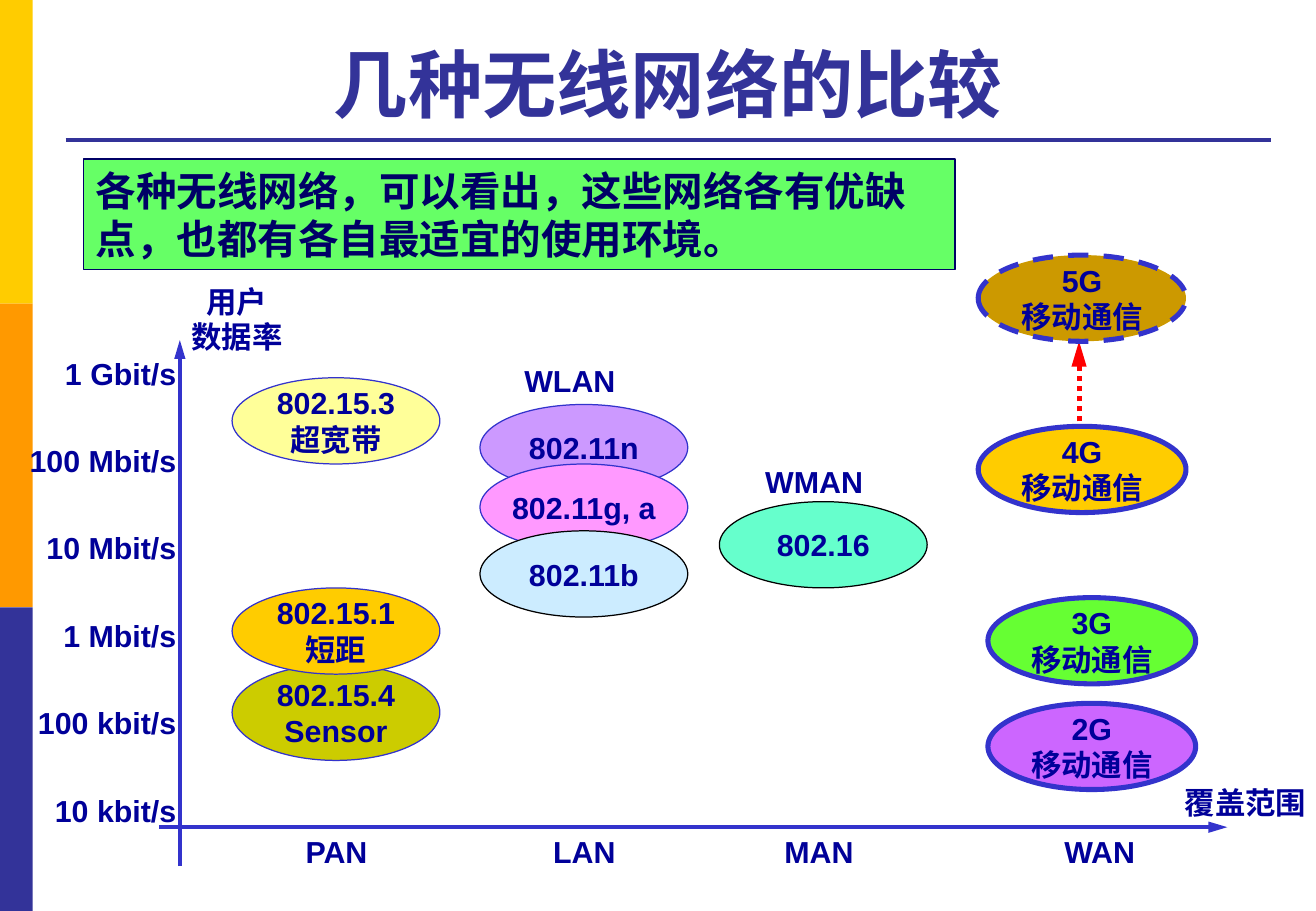
from dataclasses import dataclass
from typing import Optional

from lxml import etree
from pptx import Presentation
from pptx import util as u
from pptx.dml.color import RGBColor
from pptx.enum import dml, shapes, text
from pptx.oxml.ns import qn

COLORS = {
    "navy": "000099", "deep": "000066", "title": "333399", "line": "3333CC",
    "black": "000000", "red": "FF0000", "gold": "FFCC00", "orange": "FF9900",
    "violet": "CC99FF", "olive": "CCCC00", "cream": "FFFF99", "pink": "FF99FF",
    "sky": "CCECFF", "mint": "66FFCC", "purple": "CC66FF", "lime": "66FF33",
    "ochre": "CC9900", "green": "66FF66",
}
FONT = {"name": "Arial", "bold": True}
ALIGN = text.PP_ALIGN
MIDDLE = text.MSO_ANCHOR.MIDDLE
DASH = dml.MSO_LINE
MOBILE = "移动通信"


@dataclass
class Network:
    name: str
    left: float
    top: float
    fill: str
    line: str = "line"
    width: float = 0.75
    height: float = 0.71
    dash: Optional[DASH] = None


@dataclass
class Label:
    """A text box centred on (x, y)."""
    words: str
    x: float
    y: float
    width: float = 1.2
    align: ALIGN = ALIGN.CENTER
    spacing: float = 1.0


@dataclass
class Line:
    x1: float
    y1: float
    x2: float
    y2: float
    color: str = "line"
    width: float = 2.25
    dash: Optional[DASH] = None
    arrow: bool = True


NETWORKS = [
    Network("802.11n", 3.95, 3.33, "violet"),
    Network("802.15.4\nSensor", 1.91, 5.47, "olive", height=0.79),
    Network("802.15.1\n短距", 1.91, 4.84, "gold"),
    Network("802.15.3\n超宽带", 1.91, 3.11, "cream"),
    Network("802.11g, a", 3.95, 3.82, "pink"),
    Network("802.11b", 3.95, 4.37, "sky", "black"),
    Network("802.16", 5.92, 4.13, "mint", "black"),
    Network(f"2G\n{MOBILE}", 8.13, 5.79, "purple", width=3),
    Network(f"3G\n{MOBILE}", 8.13, 4.92, "lime", width=3),
    Network(f"4G\n{MOBILE}", 8.05, 3.51, "gold", width=3),
    Network(f"5G\n{MOBILE}", 8.05, 2.1, "ochre", width=3, dash=DASH.DASH),
]
RATES = ["1 Gbit/s", "100 Mbit/s", "10 Mbit/s", "1 Mbit/s", "100 kbit/s", "10 kbit/s"]
RANGES = {"PAN": 2.77, "LAN": 4.81, "MAN": 6.74, "WAN": 9.05}
LABELS = [
    Label("用户\n数据率", 1.95, 2.64, spacing=0.95),
    Label("覆盖范围", 10.25, 6.61),
    Label("WLAN", 4.69, 3.13),
    Label("WMAN", 6.7, 3.96),
    *(Label(rate, 0.8, 3.07 + 0.72 * i, 1.5, ALIGN.RIGHT) for i, rate in enumerate(RATES)),
    *(Label(name, x, 7.01) for name, x in RANGES.items()),
]
LINES = [
    Line(0.54, 1.15, 10.46, 1.15, "title", arrow=False),
    Line(1.31, 6.81, 10.1, 6.81),
    Line(1.48, 7.13, 1.48, 2.8),
    Line(8.88, 3.47, 8.88, 2.81, "red", 3, DASH.ROUND_DOT),
]


def rgb(name: str) -> RGBColor:
    return RGBColor.from_string(COLORS[name])


def write(tf, words: str, size: float = 18, color: str = "navy",
          align: ALIGN = ALIGN.CENTER, spacing: float = 1.0) -> None:
    """Put each line of words in its own paragraph."""
    for i, part in enumerate(words.split("\n")):
        p = tf.add_paragraph() if i else tf.paragraphs[0]
        p.alignment, p.line_spacing = align, spacing
        r = p.add_run()
        r.text = part
        r.font.size = u.Pt(size)
        r.font.color.rgb = rgb(color)
        for key, value in FONT.items():
            setattr(r.font, key, value)


def add_filled(s, kind, left: float, top: float, width: float, height: float,
               fill: str, line: Optional[str] = None, weight: float = 0.75):
    sp = s.shapes.add_shape(kind, *map(u.Inches, (left, top, width, height)))
    sp.shadow.inherit = False
    sp.fill.solid()
    sp.fill.fore_color.rgb = rgb(fill)
    if line:
        sp.line.color.rgb = rgb(line)
        sp.line.width = u.Pt(weight)
    else:
        sp.line.fill.background()
    return sp


def add_network(s, n: Network) -> None:
    sp = add_filled(s, shapes.MSO_SHAPE.OVAL, n.left, n.top, 1.71, n.height,
                    n.fill, n.line, n.width)
    if n.dash:
        sp.line.dash_style = n.dash
    sp.text_frame.word_wrap = False
    sp.text_frame.vertical_anchor = MIDDLE
    write(sp.text_frame, n.name)


def add_label(s, label: Label) -> None:
    height = 0.4 * len(label.words.split("\n"))
    box = (label.x - label.width / 2, label.y - height / 2, label.width, height)
    tf = s.shapes.add_textbox(*map(u.Inches, box)).text_frame
    tf.word_wrap = True
    tf.vertical_anchor = MIDDLE
    write(tf, label.words, align=label.align, spacing=label.spacing)


def add_line(s, line: Line) -> None:
    ends = map(u.Inches, (line.x1, line.y1, line.x2, line.y2))
    cn = s.shapes.add_connector(shapes.MSO_CONNECTOR.STRAIGHT, *ends)
    cn.line.color.rgb = rgb(line.color)
    cn.line.width = u.Pt(line.width)
    if line.dash:
        cn.line.dash_style = line.dash
    if line.arrow:
        etree.SubElement(cn.line._get_or_add_ln(), qn("a:tailEnd"),
                         type="triangle", len="lg")
    etree.SubElement(cn._element.spPr, qn("a:effectLst"))


def add_title(s, words: str) -> None:
    sp = s.shapes.title
    place = {"left": 0.55, "top": 0.21, "width": 9.9, "height": 0.89}
    for key, value in place.items():
        setattr(sp, key, u.Inches(value))
    sp.text_frame.vertical_anchor = text.MSO_ANCHOR.BOTTOM
    write(sp.text_frame, words, 44, "title")


def main() -> None:
    prs = Presentation()
    prs.slide_width, prs.slide_height = u.Inches(10.83), u.Inches(7.5)
    s = prs.slides.add_slide(prs.slide_layouts[5])
    rect = shapes.MSO_SHAPE.RECTANGLE
    for i, color in enumerate(("gold", "orange", "title")):
        add_filled(s, rect, 0, 2.5 * i, 0.27, 2.5, color)
    add_title(s, "几种无线网络的比较")
    for line in LINES:
        add_line(s, line)
    for network in NETWORKS:
        add_network(s, network)
    for label in LABELS:
        add_label(s, label)
    summary = add_filled(s, rect, 0.69, 1.31, 7.17, 0.91, "green", "deep")
    summary.text_frame.word_wrap = True
    write(summary.text_frame,
          "各种无线网络，可以看出，这些网络各有优缺点，也都有各自最适宜的使用环境。",
          24, "deep", ALIGN.LEFT)
    prs.save("out.pptx")


if __name__ == "__main__":
    main()
